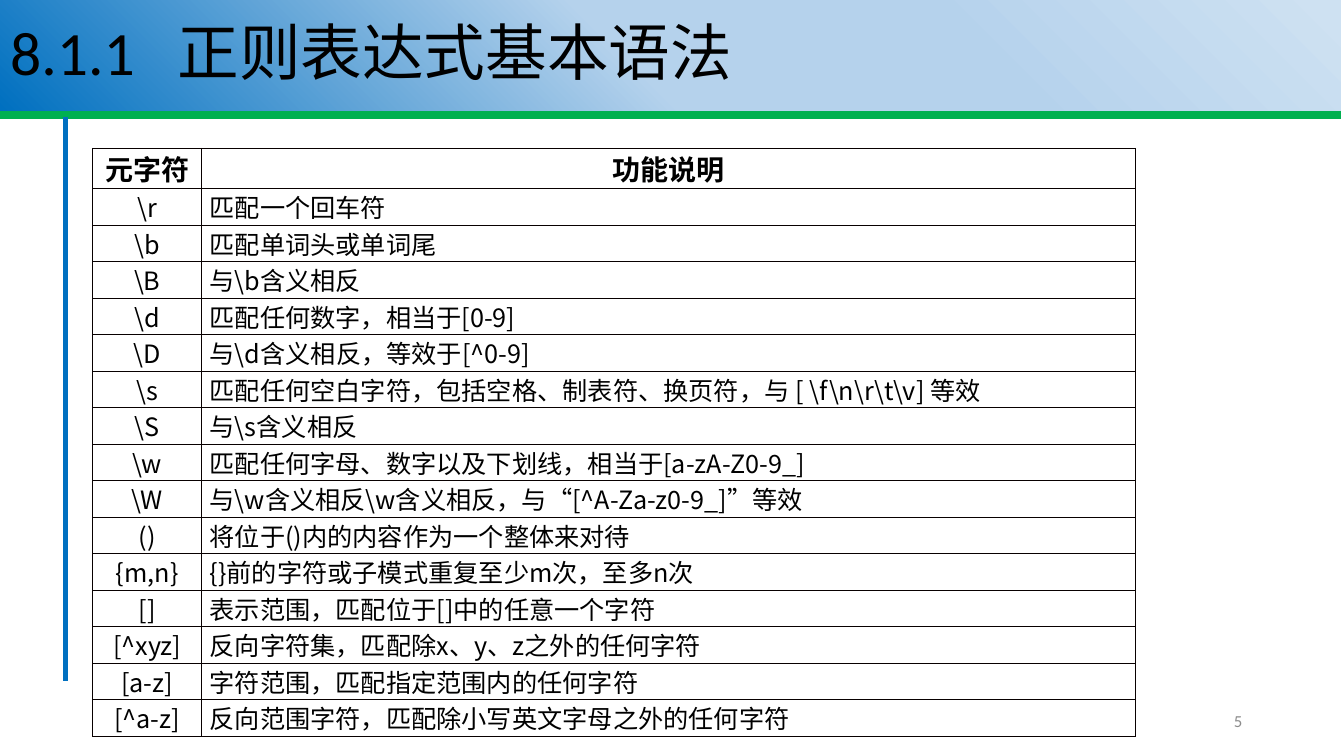
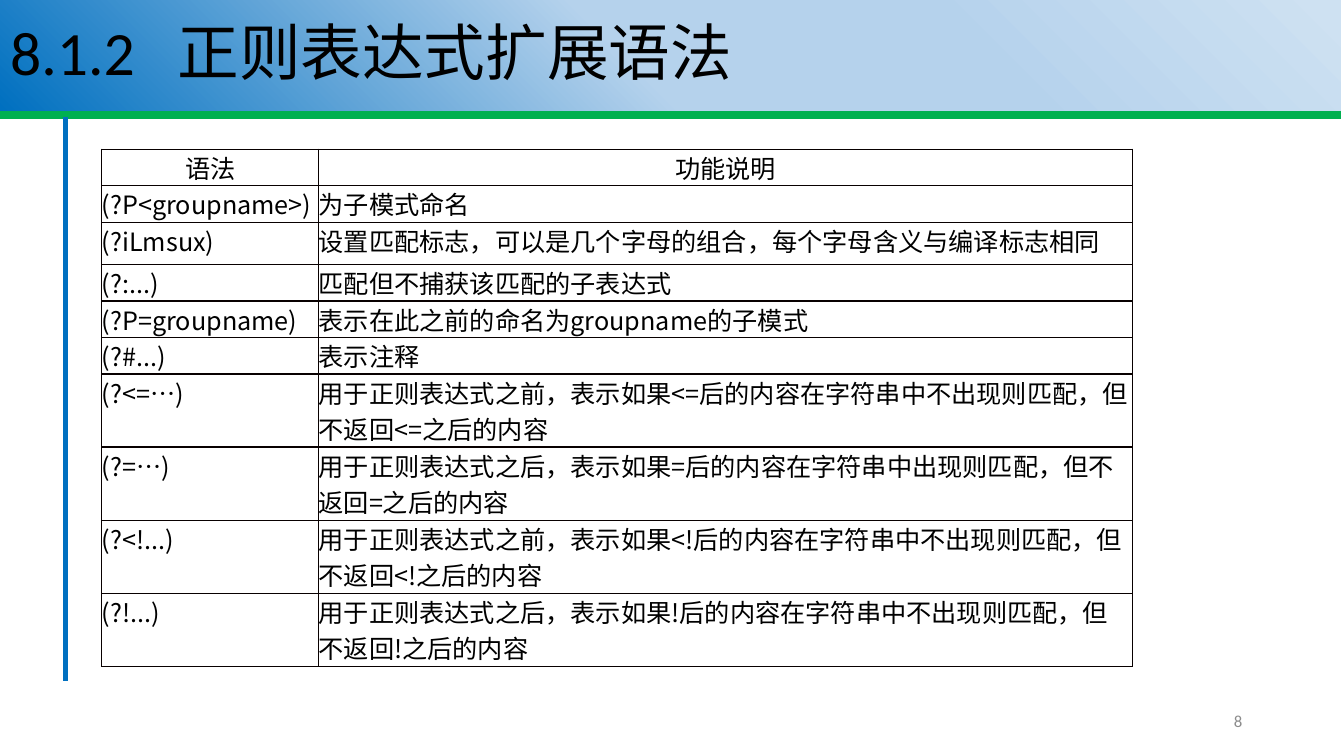
from lxml.etree import SubElement
from pptx import Presentation
from pptx.dml.color import RGBColor
from pptx.enum.shapes import MSO_CONNECTOR
from pptx.enum.text import MSO_ANCHOR, MSO_AUTO_SIZE, PP_ALIGN
from pptx.oxml.ns import qn
from pptx.util import Inches, Pt

BLACK = RGBColor(0x00, 0x00, 0x00)
GRID = RGBColor(0x08, 0x00, 0x00)
GREEN = RGBColor(0x00, 0xB0, 0x50)
BLUE = RGBColor(0x00, 0x70, 0xC0)
SKY = RGBColor(0xB5, 0xD2, 0xEC)
PALE = RGBColor(0xCE, 0xE1, 0xF2)
GREY = RGBColor(0x8C, 0x8C, 0x8C)
BAND_STOPS = [(1, PALE), (29, SKY), (53, SKY), (100, BLUE)]
LATIN, CHINESE = "Calibri", "Noto Sans CJK SC"
TABLE_SIZE = 18
LINE_HEIGHT = TABLE_SIZE * 1.45 / 72

METACHARACTERS = [
    ("元字符", "功能说明"),
    (r"\r", "匹配一个回车符"),
    (r"\b", "匹配单词头或单词尾"),
    (r"\B", r"与\b含义相反"),
    (r"\d", "匹配任何数字，相当于[0-9]"),
    (r"\D", r"与\d含义相反，等效于[^0-9]"),
    (r"\s", r"匹配任何空白字符，包括空格、制表符、换页符，与 [ \f\n\r\t\v] 等效"),
    (r"\S", r"与\s含义相反"),
    (r"\w", "匹配任何字母、数字以及下划线，相当于[a-zA-Z0-9_]"),
    (r"\W", r"与\w含义相反\w含义相反，与“[^A-Za-z0-9_]”等效"),
    ("()", "将位于()内的内容作为一个整体来对待"),
    ("{m,n}", "{}前的字符或子模式重复至少m次，至多n次"),
    ("[]", "表示范围，匹配位于[]中的任意一个字符"),
    ("[^xyz]", "反向字符集，匹配除x、y、z之外的任何字符"),
    ("[a-z]", "字符范围，匹配指定范围内的任何字符"),
    ("[^a-z]", "反向范围字符，匹配除小写英文字母之外的任何字符"),
]
EXTENSIONS = [
    ("语法", "功能说明"),
    ("(?P<groupname>)", "为子模式命名"),
    ("(?iLmsux)", "设置匹配标志，可以是几个字母的组合，每个字母含义与编译标志相同"),
    ("(?:...)", "匹配但不捕获该匹配的子表达式"),
    ("(?P=groupname)", "表示在此之前的命名为groupname的子模式"),
    ("(?#...)", "表示注释"),
    ("(?<=…)", "用于正则表达式之前，表示如果<=后的内容在字符串中不出现则匹配，但不返回<=之后的内容"),
    ("(?=…)", "用于正则表达式之后，表示如果=后的内容在字符串中出现则匹配，但不返回=之后的内容"),
    ("(?<!...)", "用于正则表达式之前，表示如果<!后的内容在字符串中不出现则匹配，但不返回<!之后的内容"),
    ("(?!...)", "用于正则表达式之后，表示如果!后的内容在字符串中不出现则匹配，但不返回!之后的内容"),
]


def add_run(paragraph, text, size, color=BLACK, latin=LATIN, bold=False):
    """Append one formatted run with its Latin and Chinese fonts."""
    run = paragraph.add_run()
    run.text = text
    font = run.font
    font.size, font.bold, font.name = Pt(size), bold, latin
    font.color.rgb = color
    SubElement(font._element, qn("a:ea"), typeface=CHINESE)


def add_rule(slide, start, end, color, width):
    """Draw a straight rule without a shadow."""
    ends = [Inches(value) for value in (*start, *end)]
    rule = slide.shapes.add_connector(MSO_CONNECTOR.STRAIGHT, *ends)
    rule.line.color.rgb = color
    rule.line.width = Pt(width)
    SubElement(rule._element.spPr, qn("a:effectLst"))


def fill_band(band):
    """Fill the title band with the diagonal blue gradient."""
    band.fill.gradient()
    band.fill.gradient_angle = 225
    stops = band._element.spPr.find(".//" + qn("a:gsLst"))
    for stop in list(stops):
        stops.remove(stop)
    for percent, color in BAND_STOPS:
        stop = SubElement(stops, qn("a:gs"), pos=str(percent * 1000))
        SubElement(stop, qn("a:srgbClr"), val=str(color))


def place(part, box):
    """Move a part to a box given in inches."""
    part.left, part.top, part.width, part.height = (Inches(v) for v in box)


def add_title(slide, box, section, heading):
    """Put the section number and heading into the title band."""
    title = slide.shapes.title
    place(title, box)
    fill_band(title)
    frame = title.text_frame
    frame.auto_size = MSO_AUTO_SIZE.NONE
    frame.vertical_anchor = MSO_ANCHOR.MIDDLE
    paragraph = frame.paragraphs[0]
    paragraph.alignment = PP_ALIGN.LEFT
    paragraph.line_spacing = 0.9
    tabs = SubElement(paragraph._p.get_or_add_pPr(), qn("a:tabLst"))
    SubElement(tabs, qn("a:tab"), pos=str(Inches(1.66)), algn="l")
    add_run(paragraph, section + "\t", 44)
    add_run(paragraph, heading, 44)


def add_page_number(slide, box, number):
    """Write the page number at the right of its box."""
    page = slide.shapes.add_textbox(*(Inches(v) for v in box))
    frame = page.text_frame
    frame.word_wrap = True
    frame.vertical_anchor = MSO_ANCHOR.MIDDLE
    paragraph = frame.paragraphs[0]
    paragraph.alignment = PP_ALIGN.RIGHT
    add_run(paragraph, str(number), 12, GREY)


def add_slide(deck, section, heading, number):
    """Add a slide with the shared rules, title band and page number."""
    slide = deck.slides.add_slide(deck.slide_layouts[5])
    add_rule(slide, (0, 1.14), (13.3, 1.14), GREEN, 5.25)
    add_rule(slide, (0.65, 1.16), (0.65, 6.76), BLUE, 3.75)
    add_title(slide, (0, 0, 13.3, 1.1), section, heading)
    add_page_number(slide, (9.42, 6.95, 3, 0.4), number)
    return slide


def style_cell(cell, border, inset):
    """Give a cell thin borders, no fill and only a left margin."""
    properties = cell._tc.get_or_add_tcPr()
    for side in ("lnL", "lnR", "lnT", "lnB"):
        line = SubElement(properties, qn("a:" + side), w=str(Pt(border)))
        SubElement(SubElement(line, qn("a:solidFill")), qn("a:srgbClr"), val=str(GRID))
    cell.fill.background()
    cell.margin_left = Inches(inset)
    cell.margin_right = cell.margin_top = cell.margin_bottom = 0


def add_syntax_table(slide, corner, columns, heights, entries, border, inset=0,
                     header_size=TABLE_SIZE, header_bold=False, symbol_align=PP_ALIGN.LEFT):
    """Tabulate syntax elements and their meanings from a top-left corner."""
    box = (*corner, sum(columns), sum(heights))
    table = slide.shapes.add_table(len(entries), 2, *(Inches(v) for v in box)).table
    table.first_row = table.horz_banding = False
    for column, width in zip(table.columns, columns):
        column.width = Inches(width)
    for index, (row, height, entry) in enumerate(zip(table.rows, heights, entries)):
        row.height = Inches(height)
        header = index == 0
        aligns = [PP_ALIGN.CENTER] * 2 if header else [symbol_align, PP_ALIGN.LEFT]
        insets = [0, 0 if header else inset]
        for cell, text, align, margin in zip(row.cells, entry, aligns, insets):
            style_cell(cell, border, margin)
            paragraph = cell.text_frame.paragraphs[0]
            paragraph.alignment = align
            add_run(paragraph, text, header_size if header else TABLE_SIZE,
                    latin=CHINESE, bold=header and header_bold)


def build():
    """Build both slides and save the deck."""
    deck = Presentation()
    deck.slide_width, deck.slide_height = Inches(13.33), Inches(7.5)
    basic = add_slide(deck, "8.1.1", "正则表达式基本语法", 5)
    add_syntax_table(basic, (0.92, 1.47), (1.08, 9.26), [0.4] + [LINE_HEIGHT] * 15,
                     METACHARACTERS, 0.5, inset=0.08, header_size=20,
                     header_bold=True, symbol_align=PP_ALIGN.CENTER)
    extended = add_slide(deck, "8.1.2", "正则表达式扩展语法", 8)
    extended_heights = ([LINE_HEIGHT] * 2 + [0.42] + [LINE_HEIGHT] * 3
                        + [2 * LINE_HEIGHT] * 4)
    add_syntax_table(extended, (1.01, 1.48), (2.15, 8.07), extended_heights, EXTENSIONS, 1)
    deck.save("out.pptx")


build()
